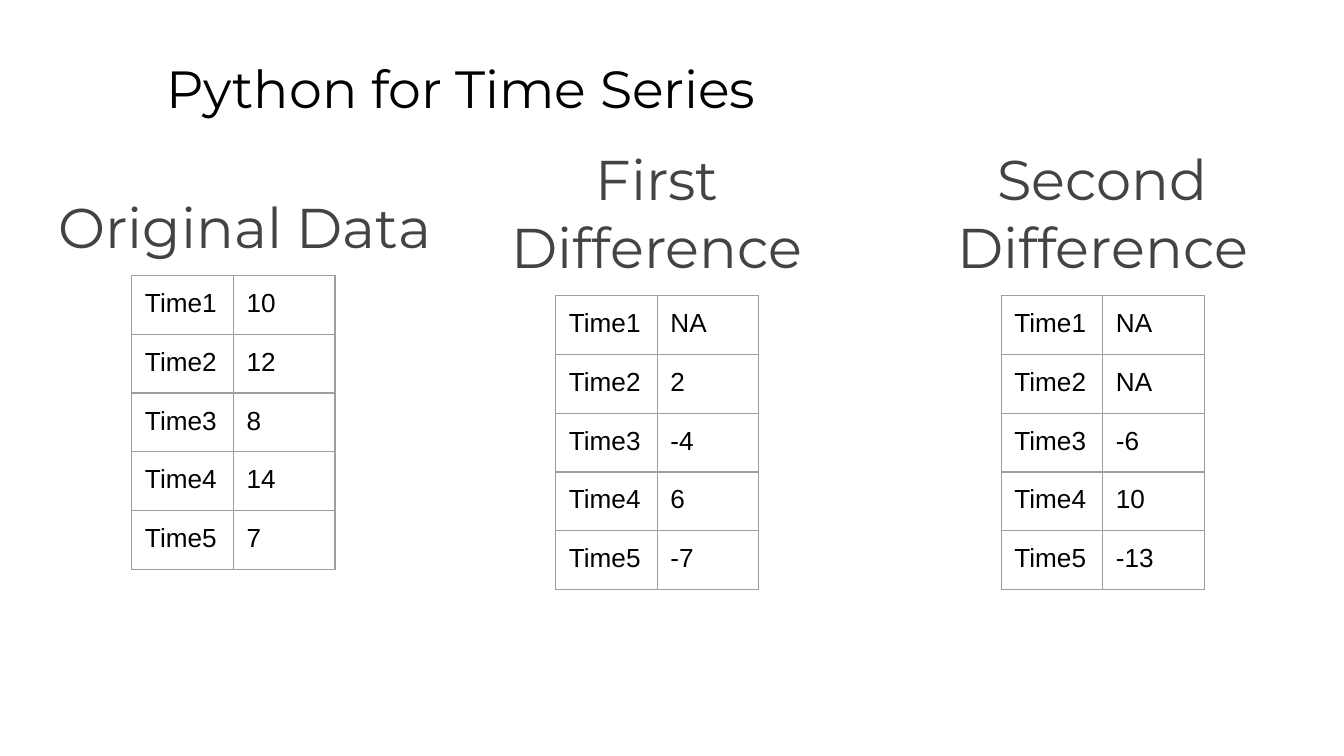
"""Builds a slide comparing a time series with its first and second differences."""
from lxml import etree
from pptx import Presentation
from pptx.dml.color import RGBColor
from pptx.enum.text import MSO_ANCHOR, MSO_AUTO_SIZE, PP_ALIGN
from pptx.oxml.ns import qn
from pptx.util import Cm, Pt

TOP = MSO_ANCHOR.TOP
NO_FIT = MSO_AUTO_SIZE.NONE
LEFT, CENTER = PP_ALIGN.LEFT, PP_ALIGN.CENTER
TITLE_ONLY = 5
INSET = Cm(0.25)


def color(value):
    return RGBColor.from_string(value)


class SlideBuilder:
    heading_font = "Montserrat"
    table_font = "Arial"
    black = "000000"
    gray = "434343"
    border = "9E9E9E"
    column_width = Cm(1.92)
    row_height = Cm(1.11)

    def __init__(self, deck):
        self.page = deck.slides.add_slide(deck.slide_layouts[TITLE_ONLY])

    def add_span(self, para, text, font, size, shade):
        span = para.add_run()
        span.text = text
        span.font.name = font
        span.font.size = Pt(size)
        span.font.color.rgb = color(shade)

    def set_margins(self, owner):
        owner.margin_left = owner.margin_right = INSET
        owner.margin_top = owner.margin_bottom = INSET

    def fill_box(self, box, text, size, shade, align, spacing):
        frame = box.text_frame
        frame.word_wrap = True
        frame.auto_size = NO_FIT
        frame.vertical_anchor = TOP
        self.set_margins(frame)
        para = frame.paragraphs[0]
        para.alignment = align
        para.line_spacing = spacing
        self.add_span(para, text, self.heading_font, size, shade)

    def title(self, text, left, top, width, height):
        box = self.page.shapes.title
        box.left, box.top = Cm(left), Cm(top)
        box.width, box.height = Cm(width), Cm(height)
        self.fill_box(box, text, 28, self.black, LEFT, 1.0)

    def heading(self, text, left, top, align, spacing):
        box = self.page.shapes.add_textbox(Cm(left), Cm(top), Cm(8), Cm(2))
        self.fill_box(box, text, 30, self.gray, align, spacing)

    def outline_cell(self, cell):
        properties = cell._tc.get_or_add_tcPr()
        for position, side in enumerate(("lnL", "lnR", "lnT", "lnB")):
            line = etree.Element(qn(f"a:{side}"), w=str(Pt(0.75)))
            fill = etree.SubElement(line, qn("a:solidFill"))
            etree.SubElement(fill, qn("a:srgbClr"), val=self.border)
            properties.insert(position, line)

    def table(self, values, left, top):
        count = len(values)
        grid = self.page.shapes.add_table(
            count, 2, Cm(left), Cm(top),
            self.column_width * 2, self.row_height * count).table
        grid.first_row = grid.horz_banding = False
        for column in grid.columns:
            column.width = self.column_width
        for index, value in enumerate(values):
            grid.rows[index].height = self.row_height
            for side, text in enumerate((f"Time{index + 1}", value)):
                cell = grid.cell(index, side)
                cell.fill.background()
                self.set_margins(cell)
                self.add_span(cell.text_frame.paragraphs[0], text,
                              self.table_font, 14, self.black)
                self.outline_cell(cell)


def main():
    deck = Presentation()
    deck.slide_width, deck.slide_height = Cm(25.4), Cm(14.29)
    builder = SlideBuilder(deck)
    builder.title("Python for Time Series", 2.9, 0.81, 21.64, 1.6)

    builder.heading("Original Data", 0.86, 3.2, LEFT, 1.15)
    builder.table(("10", "12", "8", "14", "7"), 2.49, 5.21)

    differences = {
        "First Difference": ("NA", "2", "-4", "6", "-7"),
        "Second Difference": ("NA", "NA", "-6", "10", "-13"),
    }
    for order, (name, values) in enumerate(differences.items(), start=1):
        left = 8.42 * order
        builder.heading(name, left, 2.49, CENTER, 1.0)
        builder.table(values, left + 2.08, 5.59)

    deck.save("out.pptx")


if __name__ == "__main__":
    main()
